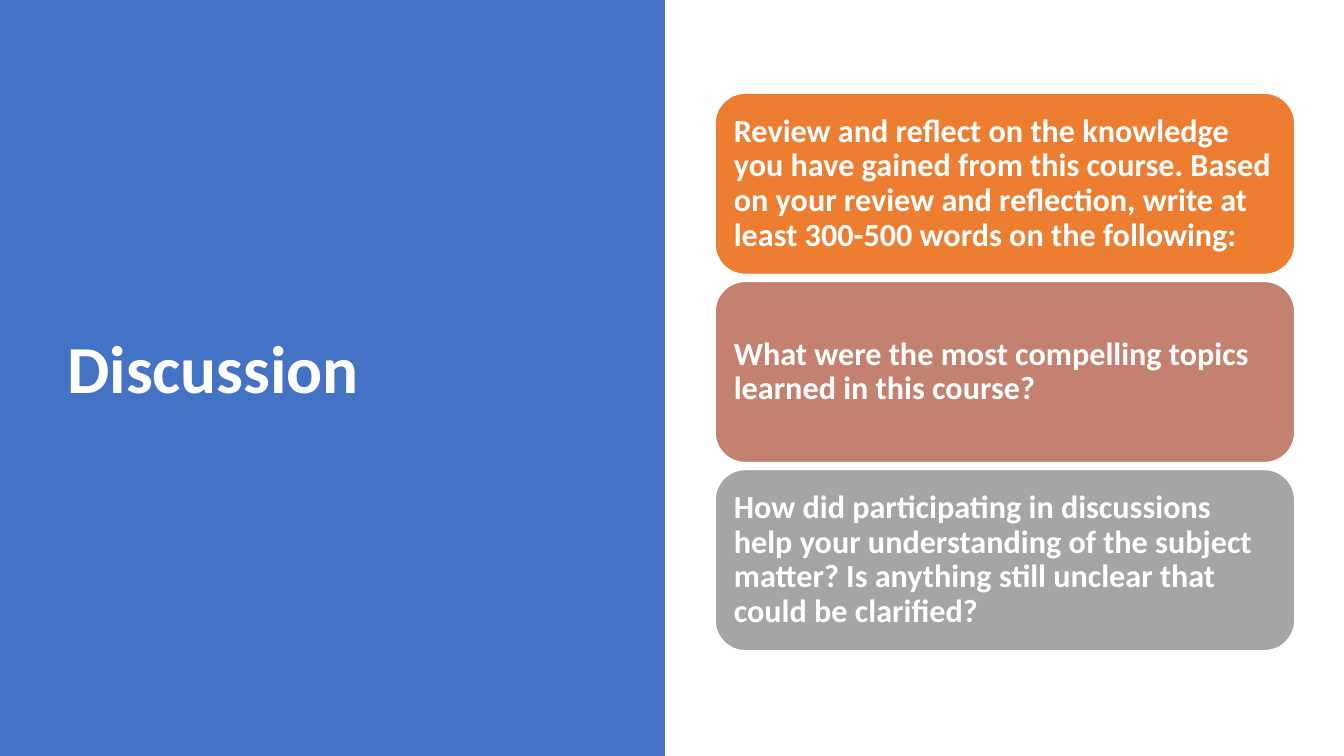
from pptx import Presentation
from pptx.dml.color import RGBColor
from pptx.enum.shapes import MSO_SHAPE
from pptx.enum.text import MSO_ANCHOR, PP_ALIGN
from pptx.util import Pt

RECT, ROUND_RECT = MSO_SHAPE.RECTANGLE, MSO_SHAPE.ROUNDED_RECTANGLE
MIDDLE, LEFT = MSO_ANCHOR.MIDDLE, PP_ALIGN.LEFT

SLIDE_W, SLIDE_H = 960, 540
CARD_LEFT, CARD_TOP, CARD_W, CARD_H = 510.8, 66.6, 414, 129.4
CARD_GAP = 5
WHITE, BLUE = "FFFFFF", "4472C4"
FRAME_FORMAT = {
    "word_wrap": True,
    "vertical_anchor": MIDDLE,
    "margin_left": Pt(7.2),
    "margin_right": Pt(7.2),
    "margin_top": Pt(7.2),
    "margin_bottom": Pt(7.2),
}
PARAGRAPH_FORMAT = {"alignment": LEFT, "line_spacing": 0.9}
FONT_FORMAT = {"name": "Calibri", "bold": True}
CARDS = [
    ("ED7D31", "Review and reflect on the knowledge you have gained from this "
               "course. Based on your review and reflection, write at least "
               "300-500 words on the following:"),
    ("C48170", "What were the most compelling topics learned in this course?"),
    ("A5A5A5", "How did participating in discussions help your understanding of "
               "the subject matter? Is anything still unclear that could be "
               "clarified?"),
]


def color(value):
    """Return the colour for a hex string."""
    return RGBColor.from_string(value)


def set_attributes(target, values):
    """Set each attribute named in a dict of format values."""
    for name, value in values.items():
        setattr(target, name, value)


def write_text(sp, text, size):
    """Write one bold white paragraph into a shape."""
    tf = sp.text_frame
    set_attributes(tf, FRAME_FORMAT)
    p = tf.paragraphs[0]
    set_attributes(p, PARAGRAPH_FORMAT)
    r = p.add_run()
    r.text = text
    set_attributes(r.font, {**FONT_FORMAT, "size": Pt(size)})
    r.font.color.rgb = color(WHITE)


def add_block(s, kind, left, top, width, height, fill):
    """Add a filled shape without outline or shadow."""
    sp = s.shapes.add_shape(kind, Pt(left), Pt(top), Pt(width), Pt(height))
    sp.shadow.inherit = False
    sp.fill.solid()
    sp.fill.fore_color.rgb = color(fill)
    sp.line.fill.background()
    return sp


def add_title(s, text):
    """Add the slide title over the blue panel."""
    sp = s.shapes.add_textbox(Pt(41), Pt(49), Pt(408), Pt(433.5))
    write_text(sp, text, 48)


def add_card(s, index, fill, text):
    """Add one rounded card at its place in the stack."""
    top = CARD_TOP + index * (CARD_H + CARD_GAP)
    sp = add_block(s, ROUND_RECT, CARD_LEFT, top, CARD_W, CARD_H, fill)
    sp.line.color.rgb = color(WHITE)
    sp.line.width = Pt(1)
    write_text(sp, text, 23)


def main():
    """Build the discussion slide and save it."""
    prs = Presentation()
    prs.slide_width, prs.slide_height = Pt(SLIDE_W), Pt(SLIDE_H)
    s = prs.slides.add_slide(prs.slide_layouts[6])
    add_block(s, RECT, 0, 0, 475, SLIDE_H, BLUE)
    add_title(s, "Discussion")
    for index, (fill, text) in enumerate(CARDS):
        add_card(s, index, fill, text)
    prs.save("out.pptx")


if __name__ == "__main__":
    main()
